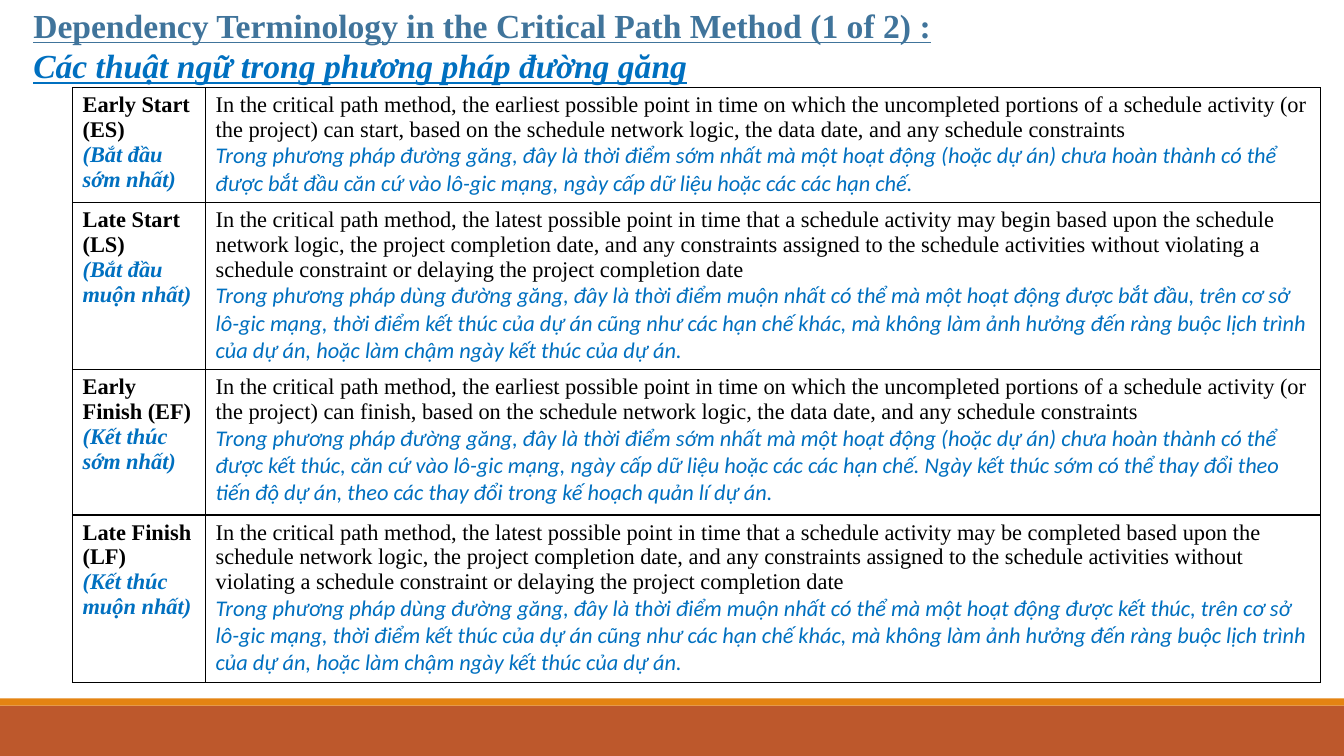
from dataclasses import dataclass

from lxml import etree
from pptx import Presentation
from pptx.dml.color import RGBColor
from pptx.enum.shapes import MSO_SHAPE
from pptx.enum.text import MSO_ANCHOR, MSO_AUTO_SIZE, PP_ALIGN
from pptx.oxml.ns import qn
from pptx.util import Emu, Inches, Pt

RECTANGLE = MSO_SHAPE.RECTANGLE
TOP = MSO_ANCHOR.TOP
LEFT = PP_ALIGN.LEFT
NO_AUTOFIT = MSO_AUTO_SIZE.NONE
TITLE_ONLY_LAYOUT = 5

# The grid has square modules of a tenth of an inch
MODULE = Inches(0.1)
SLIDE_COLUMNS, SLIDE_ROWS = 133.33, 75
TABLE_COLUMNS = (13.2, 110.6)

SERIF, SANS = "Times New Roman", "Calibri"
BLACK, BLUE, TITLE_BLUE = "000000", "0070C0", "40749B"


@dataclass(frozen=True)
class Band:
    top: float
    height: float
    color: str


@dataclass(frozen=True)
class Term:
    name: str
    translated_name: str
    definition: str
    translated_definition: str
    height: float


BANDS = (Band(70, 5, "BD582C"), Band(69.3, 0.7, "E48312"))

TERMS = (
    Term(
        "Early Start (ES)",
        "(Bắt đầu sớm nhất)",
        "In the critical path method, the earliest possible point in time on which the "
        "uncompleted portions of a schedule activity (or the project) can start, based on "
        "the schedule network logic, the data date, and any schedule constraints",
        "Trong phương pháp đường găng, đây là thời điểm sớm nhất mà một hoạt động (hoặc dự án) "
        "chưa hoàn thành có thể được bắt đầu căn cứ vào lô-gic mạng, ngày cấp dữ liệu hoặc "
        "các các hạn chế.",
        11.4,
    ),
    Term(
        "Late Start (LS)",
        "(Bắt đầu muộn nhất)",
        "In the critical path method, the latest possible point in time that a schedule "
        "activity may begin based upon the schedule network logic, the project completion "
        "date, and any constraints assigned to the schedule activities without violating a "
        "schedule constraint or delaying the project completion date",
        "Trong phương pháp dùng đường găng, đây là thời điểm muộn nhất có thể mà một hoạt động "
        "được bắt đầu, trên cơ sở lô-gic mạng, thời điểm kết thúc của dự án cũng như các hạn "
        "chế khác, mà không làm ảnh hưởng đến ràng buộc lịch trình của dự án, hoặc làm chậm "
        "ngày kết thúc của dự án.",
        16.6,
    ),
    Term(
        "Early Finish (EF)",
        "(Kết thúc sớm nhất)",
        "In the critical path method, the earliest possible point in time on which the "
        "uncompleted portions of a schedule activity (or the project) can finish, based on "
        "the schedule network logic, the data date, and any schedule constraints",
        "Trong phương pháp đường găng, đây là thời điểm sớm nhất mà một hoạt động (hoặc dự án) "
        "chưa hoàn thành có thể được kết thúc, căn cứ vào lô-gic mạng, ngày cấp dữ liệu hoặc "
        "các các hạn chế. Ngày kết thúc sớm có thể thay đổi theo tiến độ dự án, theo các thay "
        "đổi trong kế hoạch quản lí dự án.",
        14.4,
    ),
    Term(
        "Late Finish (LF)",
        "(Kết thúc muộn nhất)",
        "In the critical path method, the latest possible point in time that a schedule "
        "activity may be completed based upon the schedule network logic, the project "
        "completion date, and any constraints assigned to the schedule activities without "
        "violating a schedule constraint or delaying the project completion date",
        "Trong phương pháp dùng đường găng, đây là thời điểm muộn nhất có thể mà một hoạt động "
        "được kết thúc, trên cơ sở lô-gic mạng, thời điểm kết thúc của dự án cũng như các hạn "
        "chế khác, mà không làm ảnh hưởng đến ràng buộc lịch trình của dự án, hoặc làm chậm "
        "ngày kết thúc của dự án.",
        16.6,
    ),
)


def modules(count: float) -> Emu:
    return Emu(round(count * MODULE))


def rgb(color: str) -> RGBColor:
    return RGBColor.from_string(color)


def write(paragraph, text: str, *, size: float = 16, font: str = SERIF, color: str = BLACK,
          bold: bool = False, italic: bool = False, underline: bool = False) -> None:
    paragraph.alignment = LEFT
    run = paragraph.add_run()
    run.text = text
    run.font.size = Pt(size)
    run.font.name = font
    run.font.color.rgb = rgb(color)
    run.font.bold = bold
    run.font.italic = italic
    run.font.underline = underline


def add_band(slide, band: Band) -> None:
    shape = slide.shapes.add_shape(RECTANGLE, 0, modules(band.top),
                                   modules(SLIDE_COLUMNS), modules(band.height))
    shape.shadow.inherit = False
    shape.fill.solid()
    shape.fill.fore_color.rgb = rgb(band.color)
    shape.line.fill.background()


def add_title(slide) -> None:
    title = slide.shapes.title
    title.left, title.top = modules(2.3), 0
    title.width, title.height = modules(94), modules(13.1)
    frame = title.text_frame
    frame.word_wrap = True
    frame.auto_size = NO_AUTOFIT
    frame.vertical_anchor = TOP
    write(frame.paragraphs[0], "Dependency Terminology in the Critical Path Method (1 of 2) :",
          size=24, color=TITLE_BLUE, bold=True, underline=True)
    write(frame.add_paragraph(), "Các thuật ngữ trong phương pháp đường găng",
          size=24, color=BLUE, bold=True, italic=True, underline=True)


def set_borders(cell, color: str, width: float) -> None:
    properties = cell._tc.get_or_add_tcPr()
    for index, side in enumerate(("lnL", "lnR", "lnT", "lnB")):
        line = etree.Element(qn(f"a:{side}"), w=str(Pt(width)))
        fill = etree.SubElement(line, qn("a:solidFill"))
        etree.SubElement(fill, qn("a:srgbClr"), val=color)
        properties.insert(index, line)


def add_terms_table(slide) -> None:
    height = sum(term.height for term in TERMS)
    table = slide.shapes.add_table(len(TERMS), len(TABLE_COLUMNS), modules(7.2), modules(8.7),
                                   modules(sum(TABLE_COLUMNS)), modules(height)).table
    table.first_row = False
    table.horz_banding = False
    for column, width in zip(table.columns, TABLE_COLUMNS):
        column.width = modules(width)

    for row, term in zip(table.rows, TERMS):
        row.height = modules(term.height)
        for cell in row.cells:
            cell.fill.background()
            set_borders(cell, BLACK, 1)
        name, definition = (cell.text_frame for cell in row.cells)
        write(name.paragraphs[0], term.name, bold=True)
        write(name.add_paragraph(), term.translated_name, color=BLUE, bold=True, italic=True)
        write(definition.paragraphs[0], term.definition)
        write(definition.add_paragraph(), term.translated_definition,
              font=SANS, color=BLUE, italic=True)


def main() -> None:
    presentation = Presentation()
    presentation.slide_width = modules(SLIDE_COLUMNS)
    presentation.slide_height = modules(SLIDE_ROWS)
    slide = presentation.slides.add_slide(presentation.slide_layouts[TITLE_ONLY_LAYOUT])

    # Footer bands
    for band in BANDS:
        add_band(slide, band)

    # Title and terminology
    add_title(slide)
    add_terms_table(slide)
    presentation.save("out.pptx")


if __name__ == "__main__":
    main()
